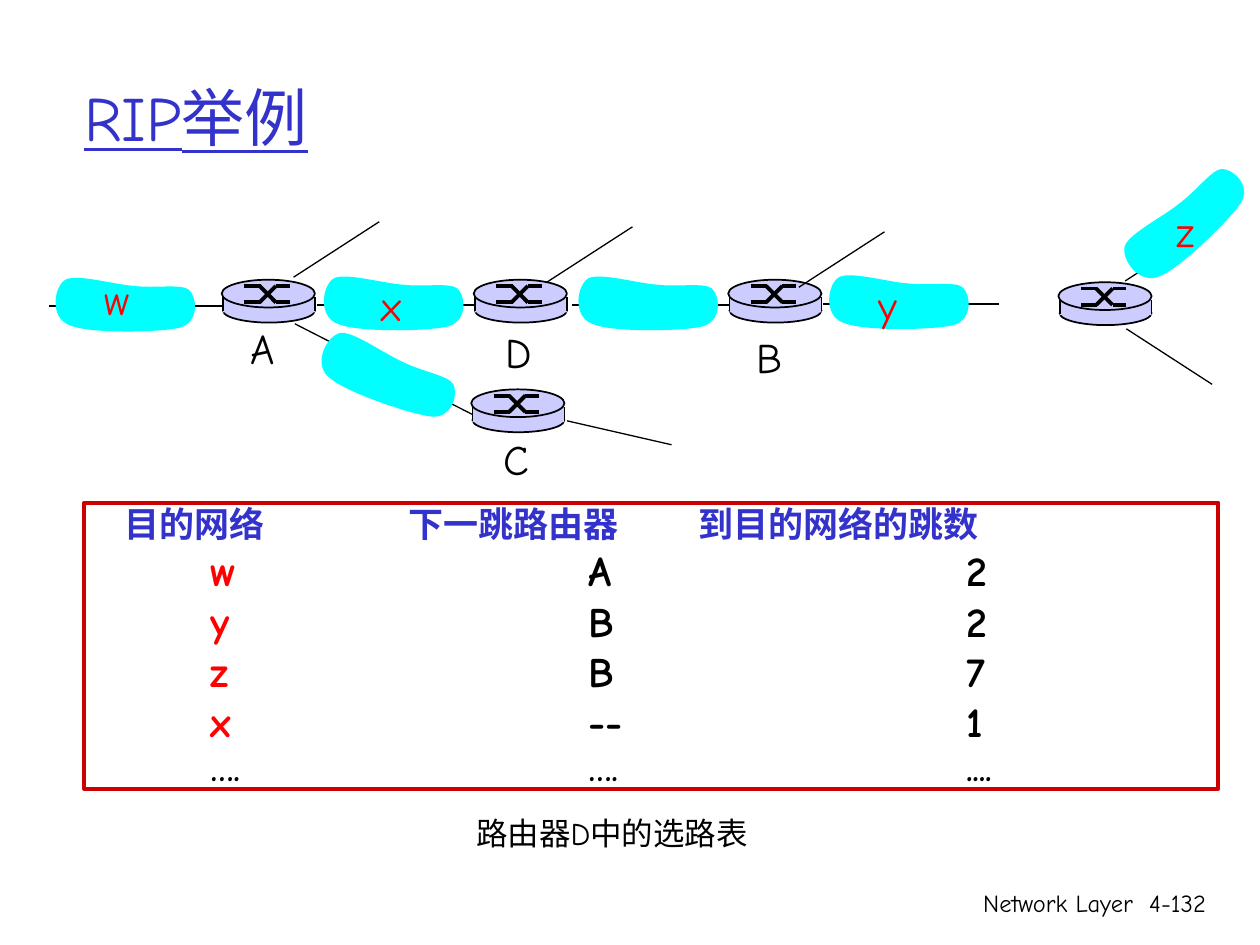
from dataclasses import dataclass

from lxml import etree
from pptx import Presentation
from pptx.dml.color import RGBColor
from pptx.enum import shapes, text
from pptx.oxml import ns
from pptx.util import Inches, Pt


@dataclass(frozen=True)
class Theme:
    """Colours, font and type sizes of the slide."""
    font: str = "Comic Neue"
    ink: str = "000000"
    heading: str = "3333CC"
    network: str = "FF0000"
    cloud: str = "00FFFF"
    router: str = "CCCCFF"
    frame: str = "CC0000"
    title_size: int = 36
    label_size: int = 24
    header_size: int = 20
    caption_size: int = 18
    footer_size: int = 14
    stub: float = 0.75
    outline: float = 1
    heavy: float = 2.25


THEME = Theme()
CLOUD_START = (0.68, 0.10)
CLOUD_CURVES = [
    (0.52, 0.09), (0.22, 0), (0.13, 0.05),
    (0.04, 0.10), (0, 0.35), (0.16, 0.41),
    (0.31, 0.48), (0.88, 0.47), (1.04, 0.43),
    (1.20, 0.38), (1.17, 0.18), (1.11, 0.13),
    (1.05, 0.08), (0.84, 0.12), CLOUD_START,
]
CLOUDS = [(0.39, 2.17, 0), (2.52, 2.16, 0), (4.54, 2.16, 0), (6.53, 2.15, 0),
          (2.48, 2.74, 19.7), (8.8, 1.53, 316.8)]
ROUTERS = {"A": (1.76, 2.22), "D": (3.76, 2.22), "B": (5.78, 2.22),
           "C": (3.74, 3.09), "far": (8.4, 2.24)}
LINKS = [(0.39, 2.43), (2.52, 2.42), (4.54, 2.42), (6.53, 2.41)]
STUBS = [(2.33, 2.2, 0.68, -0.44), (4.34, 2.24, 0.68, -0.44), (6.34, 2.28, 0.68, -0.44),
         (8.93, 2.23, 0.68, -0.44), (8.94, 2.61, 0.68, 0.44), (4.5, 3.34, 0.83, 0.19)]
NETWORK_NAMES = {"w": (0.73, 2.12, 0.4), "x": (2.93, 2.17, 0.36),
                 "y": (6.87, 2.17, 0.35), "z": (9.24, 1.58, 0.34)}
ROUTER_NAMES = {"A": (1.89, 2.51, 0.39), "C": (3.9, 3.39, 0.4),
                "D": (3.91, 2.54, 0.41), "B": (5.91, 2.58, 0.4)}
HEADERS = ("目的网络", "下一跳路由器", "到目的网络的跳数")
ROUTES = [("w", "A", "2"), ("y", "B", "2"), ("z", "B", "7"), ("x", "--", "1")]
HEADER_STOPS = (0.32, 2.57, 4.87)
ROUTE_STOPS = (1, 4, 7)


def write(paragraph, words, *, size, color=THEME.ink, bold=False, underline=False):
    """Add a formatted run to a paragraph."""
    run = paragraph.add_run()
    run.text = words
    font = run.font
    font.name, font.size = THEME.font, Pt(size)
    font.bold, font.underline = bold, underline
    font.color.rgb = RGBColor.from_string(color)


def add_label(slide, words, box, *, align=text.PP_ALIGN.LEFT, wrap=False, **style):
    """Place one line of text in a box."""
    frame = slide.shapes.add_textbox(*map(Inches, box)).text_frame
    frame.word_wrap = wrap
    frame.paragraphs[0].alignment = align
    write(frame.paragraphs[0], words, **style)


def paint(shape, fill=None, line=None, width=THEME.outline):
    """Set fill and outline, leaving out those not given."""
    shape.shadow.inherit = False
    if fill:
        shape.fill.solid()
        shape.fill.fore_color.rgb = RGBColor.from_string(fill)
    else:
        shape.fill.background()
    if line:
        shape.line.color.rgb = RGBColor.from_string(line)
        shape.line.width = Pt(width)
    else:
        shape.line.fill.background()
    return shape


def add_line(parent, start, end, width):
    """Draw a straight connector between two points."""
    line = parent.shapes.add_connector(
        shapes.MSO_CONNECTOR.STRAIGHT, *map(Inches, (*start, *end)))
    line.line.color.rgb = RGBColor.from_string(THEME.ink)
    line.line.width = Pt(width)
    etree.SubElement(line._element.spPr, ns.qn("a:effectLst"))
    return line


def add_cloud(slide, left, top, rotation):
    """Draw a curved network cloud with its box at the given corner."""
    def place(point):
        return Inches(left + point[0]), Inches(top + point[1])

    builder = slide.shapes.build_freeform(*place(CLOUD_START))
    builder.add_line_segments([place(point) for point in CLOUD_CURVES])
    cloud = paint(builder.convert_to_shape(), THEME.cloud)
    cloud.rotation = rotation
    segments = list(cloud._element.iter(ns.qn("a:lnTo")))
    for first in range(0, len(segments), 3):
        curve = etree.Element(ns.qn("a:cubicBezTo"))
        segments[first].addprevious(curve)
        for segment in segments[first:first + 3]:
            curve.append(segment[0])
            segment.getparent().remove(segment)


def add_router(slide, left, top):
    """Draw a router with its box at the given corner and return its band."""
    group = slide.shapes.add_group_shape()

    def part(kind, x, y, width, height, line=None):
        box = map(Inches, (left + x, top + y, width, height))
        return paint(group.shapes.add_shape(kind, *box), THEME.router, line)

    def stroke(x1, y1, x2, y2, width=THEME.heavy):
        add_line(group, (left + x1, top + y1), (left + x2, top + y2), width)

    oval, rectangle = shapes.MSO_SHAPE.OVAL, shapes.MSO_SHAPE.RECTANGLE
    part(oval, 0.01, 0.15, 0.73, 0.19, THEME.ink)
    band = part(rectangle, 0.01, 0.14, 0.73, 0.12)
    for side in (0.01, 0.74):
        stroke(side, 0.14, side, 0.25, THEME.outline)
    part(oval, 0, 0, 0.74, 0.22, THEME.ink)
    upper, lower = 0.05, 0.18
    for near, far in ((upper, lower), (lower, upper)):
        stroke(0.18, near, 0.31, near)
        stroke(0.30, near, 0.43, far)
        stroke(0.43, far, 0.54, far)
    return band


def add_title(slide, words, box):
    """Move and format the title placeholder."""
    title = slide.shapes.title
    title.left, title.top, title.width, title.height = map(Inches, box)
    title.text_frame.vertical_anchor = text.MSO_ANCHOR.MIDDLE
    title.text_frame.paragraphs[0].alignment = text.PP_ALIGN.LEFT
    write(title.text_frame.paragraphs[0], words, size=THEME.title_size,
          color=THEME.heading, underline=True)


def add_network(slide):
    """Draw the routers, links, clouds and their names."""
    for x, y in LINKS:
        add_line(slide, (x, y), (x + 1.4, y), THEME.outline)
    bands = {name: add_router(slide, *corner) for name, corner in ROUTERS.items()}
    for x, y, dx, dy in STUBS:
        add_line(slide, (x, y), (x + dx, y + dy), THEME.stub)
    link_to_c = add_line(slide, (2.34, 2.57), (3.75, 3.29), THEME.stub)
    link_to_c.end_connect(bands["C"], 1)
    for cloud in CLOUDS:
        add_cloud(slide, *cloud)
    for names, color in ((NETWORK_NAMES, THEME.network), (ROUTER_NAMES, THEME.ink)):
        for name, box in names.items():
            add_label(slide, name, (*box, 0.5), size=THEME.label_size, color=color)


def add_routing_table(slide, box):
    """Set the routing entries in a framed box with tab stops."""
    panel = paint(slide.shapes.add_shape(shapes.MSO_SHAPE.RECTANGLE, *map(Inches, box)),
                  line=THEME.frame, width=THEME.heavy)
    frame = panel.text_frame
    frame.margin_left = frame.margin_top = frame.margin_right = frame.margin_bottom = 0
    frame.vertical_anchor = text.MSO_ANCHOR.TOP
    rows = [(HEADERS, HEADER_STOPS, THEME.header_size, (THEME.heading,) * 3)]
    rows += [(route, ROUTE_STOPS, THEME.label_size, (THEME.network, THEME.ink, THEME.ink))
             for route in ROUTES]
    rows.append((("….", "….", "...."), ROUTE_STOPS, THEME.header_size, (THEME.ink,) * 3))
    for index, (cells, stops, size, colors) in enumerate(rows):
        paragraph = frame.add_paragraph() if index else frame.paragraphs[0]
        paragraph.alignment = text.PP_ALIGN.LEFT
        tabs = etree.SubElement(paragraph._p.get_or_add_pPr(), ns.qn("a:tabLst"))
        for stop in stops:
            etree.SubElement(tabs, ns.qn("a:tab"), pos=str(Inches(stop)), algn="l")
        for cell, color in zip(cells, colors):
            write(paragraph, "\t" + cell, size=size, color=color, bold=True)


def add_footer(slide):
    """Place the chapter name and the page number."""
    for words, left, width in (("Network Layer", 5.92, 3.17), ("4-132", 8.93, 0.74)):
        add_label(slide, words, (left, 7, width, 0.5), size=THEME.footer_size,
                  align=text.PP_ALIGN.RIGHT, wrap=True)


def main():
    """Build and save the slide."""
    deck = Presentation()
    deck.slide_width, deck.slide_height = Inches(10), Inches(7.5)
    slide = deck.slides.add_slide(deck.slide_layouts[5])
    add_title(slide, "RIP举例", (0.57, 0.3, 8.5, 1.25))
    add_network(slide)
    add_routing_table(slide, (0.67, 3.99, 9, 2.27))
    add_label(slide, "路由器D中的选路表", (3.68, 6.41, 2.47, 0.4), size=THEME.caption_size)
    add_footer(slide)
    deck.save("out.pptx")


if __name__ == "__main__":
    main()
